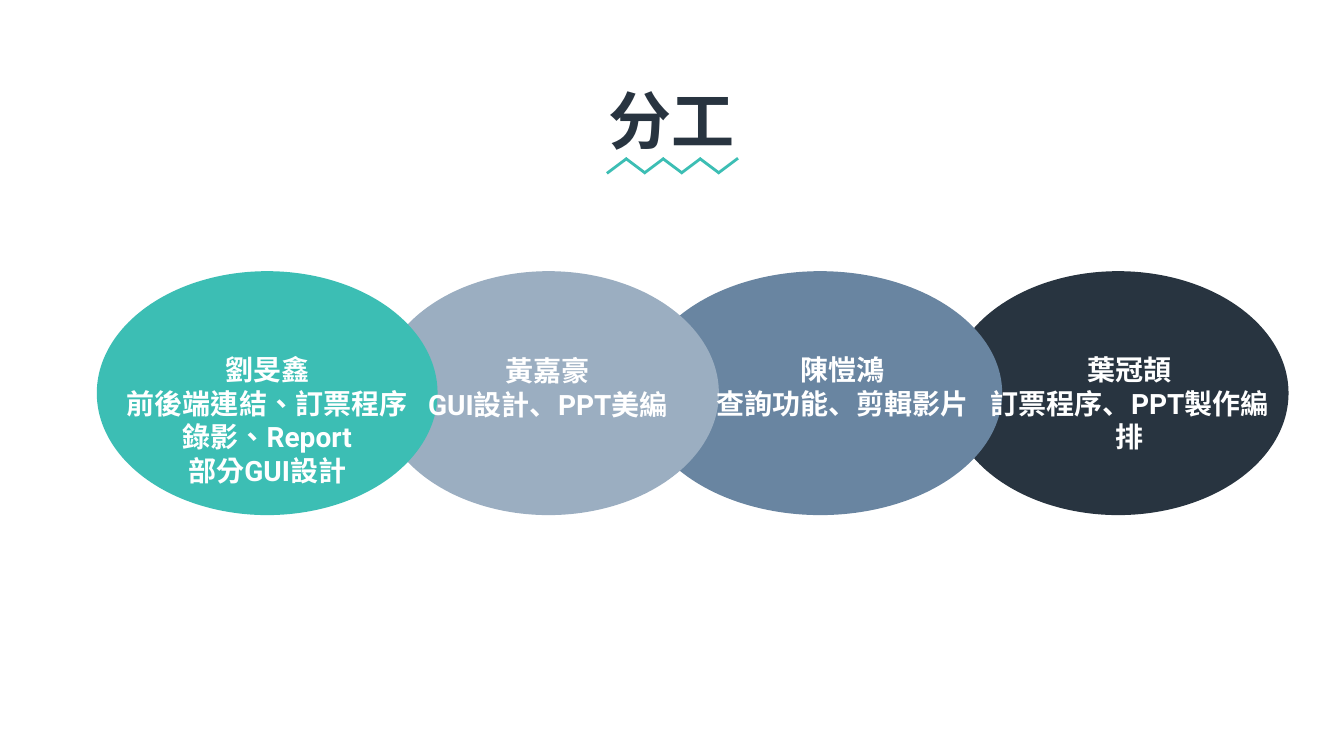
"""Build the slide that shows how the team divides its work."""
from dataclasses import dataclass
from itertools import groupby
from typing import Optional

from lxml.etree import SubElement
from pptx import Presentation
from pptx.dml.color import RGBColor
from pptx.enum.lang import MSO_LANGUAGE_ID
from pptx.enum.shapes import MSO_CONNECTOR, MSO_SHAPE
from pptx.enum.text import MSO_AUTO_SIZE, PP_ALIGN
from pptx.oxml.ns import qn
from pptx.util import Inches, Pt

TEAL = "3CBEB4"
NAVY = "283440"
WHITE = "FFFFFF"
OVAL_TOP, OVAL_HEIGHT = 2.69, 2.42
ZIGZAG_LEFT, ZIGZAG_RIGHT = 6.02, 7.12
ZIGZAG_TOP, ZIGZAG_BOTTOM = 1.57, 1.72
STROKE_COUNT, STROKE_WIDTH = 7, 0.2


@dataclass
class Member:
    duties: str
    fill: str
    oval_left: float
    oval_width: float
    text_left: float
    text_top: float
    text_width: float
    text_height: float
    language: Optional[MSO_LANGUAGE_ID] = None


MEMBERS = [
    Member("劉旻鑫\n前後端連結、訂票程序\n錄影、Report\n部分GUI設計",
           TEAL, 0.96, 3.38, 0.96, 3.45, 3.38, 1.45,
           MSO_LANGUAGE_ID.TRADITIONAL_CHINESE),
    Member("黃嘉豪\nGUI設計、PPT美編",
           "9BAEC1", 3.75, 3.38, 3.95, 3.46, 2.97, 0.88),
    Member("陳愷鴻\n查詢功能、剪輯影片",
           "6985A1", 6.33, 3.61, 6.87, 3.45, 2.97, 0.88),
    Member("葉冠頡\n訂票程序、PPT製作編排",
           NAVY, 9.4, 3.38, 9.72, 3.45, 2.97, 1.3),
]


def rgb(color: str) -> RGBColor:
    return RGBColor.from_string(color)


def add_text(slide, text: str, left: float, top: float, width: float,
             height: float, *, size: float = 20, color: str = WHITE,
             font: str = "Arial", latin_font: str = "Roboto",
             language: Optional[MSO_LANGUAGE_ID] = None) -> None:
    frame = slide.shapes.add_textbox(
        Inches(left), Inches(top), Inches(width), Inches(height)).text_frame
    frame.word_wrap = True
    frame.auto_size = MSO_AUTO_SIZE.SHAPE_TO_FIT_TEXT
    frame.margin_left = frame.margin_right = Inches(0.05)
    frame.margin_top = frame.margin_bottom = Inches(0.05)
    for index, line in enumerate(text.split("\n")):
        paragraph = frame.add_paragraph() if index else frame.paragraphs[0]
        paragraph.alignment = PP_ALIGN.CENTER
        for is_latin, letters in groupby(line, key=str.isascii):
            run = paragraph.add_run()
            run.text = "".join(letters)
            run.font.name = latin_font if is_latin else font
            run.font.size = Pt(size)
            run.font.bold = True
            run.font.color.rgb = rgb(color)
            if language is not None:
                run.font.language_id = language


def add_oval(slide, member: Member) -> None:
    oval = slide.shapes.add_shape(
        MSO_SHAPE.OVAL, Inches(member.oval_left), Inches(OVAL_TOP),
        Inches(member.oval_width), Inches(OVAL_HEIGHT))
    oval.shadow.inherit = False
    oval.fill.solid()
    oval.fill.fore_color.rgb = rgb(member.fill)
    oval.line.fill.background()


def add_zigzag(slide) -> None:
    zigzag = slide.shapes.add_group_shape()
    pitch = (ZIGZAG_RIGHT - ZIGZAG_LEFT) / (STROKE_COUNT - 1)
    for index in range(STROKE_COUNT):
        left = ZIGZAG_LEFT + index * pitch
        start, end = ((ZIGZAG_TOP, ZIGZAG_BOTTOM) if index % 2
                      else (ZIGZAG_BOTTOM, ZIGZAG_TOP))
        stroke = zigzag.shapes.add_connector(
            MSO_CONNECTOR.STRAIGHT, Inches(left), Inches(start),
            Inches(left + STROKE_WIDTH), Inches(end))
        stroke.line.color.rgb = rgb(TEAL)
        stroke.line.width = Pt(2)
        SubElement(stroke._element.spPr, qn("a:effectLst"))


def main() -> None:
    deck = Presentation()
    deck.slide_width, deck.slide_height = Inches(13.33), Inches(7.5)
    slide = deck.slides.add_slide(deck.slide_layouts[6])
    for member in reversed(MEMBERS):
        add_oval(slide, member)
    add_text(slide, "分工", 0, 0.76, 13.33, 0.98,
             size=45, color=NAVY, font="Roboto Condensed")
    add_zigzag(slide)
    for member in MEMBERS:
        add_text(slide, member.duties, member.text_left, member.text_top,
                 member.text_width, member.text_height,
                 language=member.language)
    deck.save("out.pptx")


if __name__ == "__main__":
    main()
